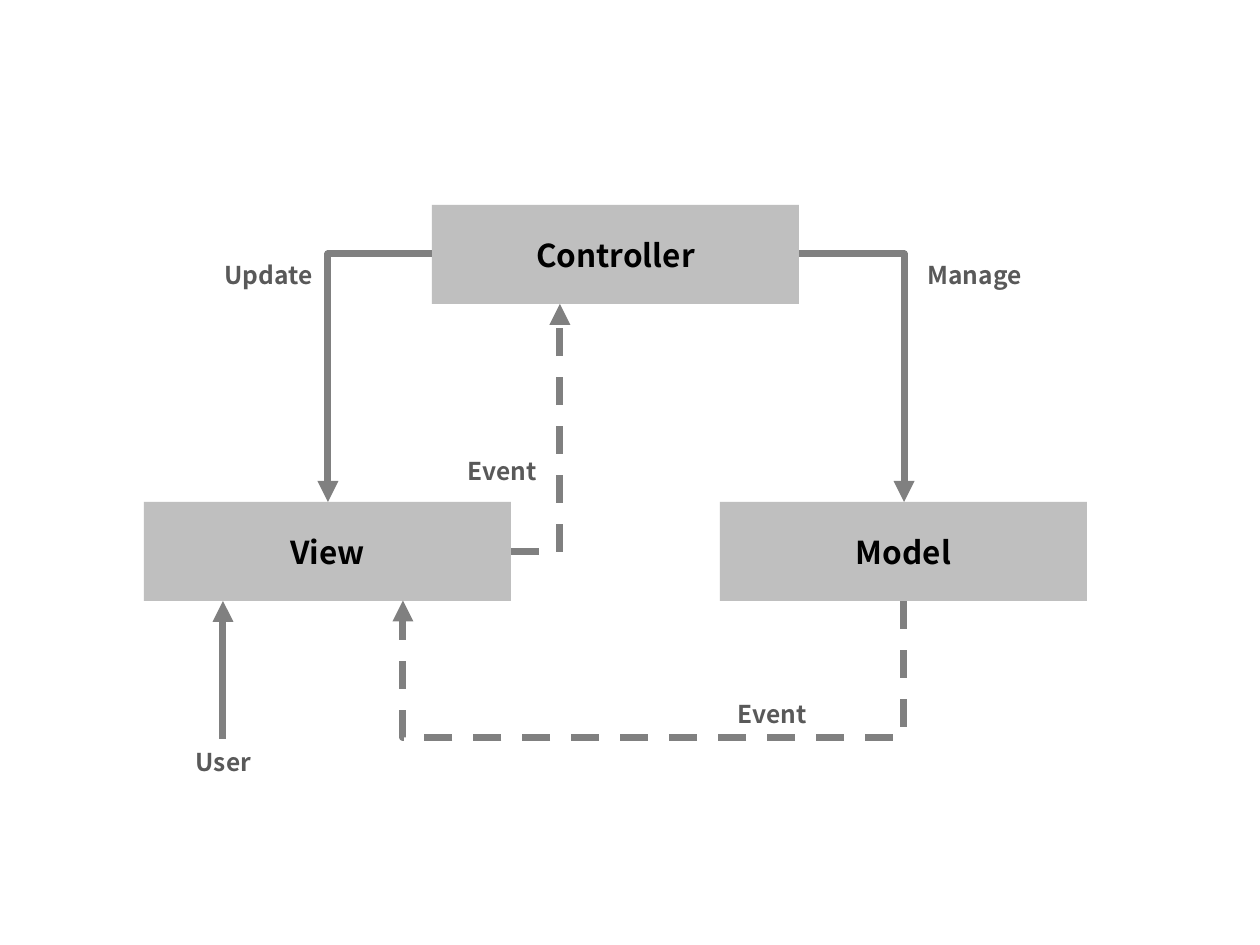
from pptx import Presentation
from pptx import util as u
from pptx.dml.color import RGBColor
from pptx.enum import dml, shapes, text
from pptx.oxml.ns import qn
from lxml import etree

FONT = "Noto Sans CJK KR"
PX = 914400 / 126
BOX_W, BOX_H = 367, 99

# Content: boxes as left, top
BOXES = {"Controller": (432, 205), "View": (144, 502), "Model": (720, 502)}

# Labels: text, left, top, width, alignment
LEFT, CENTER = text.PP_ALIGN.LEFT, text.PP_ALIGN.CENTER
LABELS = [
    ("Update", 212, 254, 116, LEFT),
    ("Manage", 907, 254, 135, CENTER),
    ("Event", 451, 450, 102, CENTER),
    ("Event", 709, 693, 127, CENTER),
    ("User", 160, 741, 127, CENTER),
]
LABEL_H = 43


def px(n):
    return u.Emu(round(n * PX))


def rgb(code):
    return RGBColor.from_string(code)


def write(sp, words, size, color, align):
    tf = sp.text_frame
    tf.word_wrap = True
    p = tf.paragraphs[0]
    p.alignment = align
    r = p.add_run()
    r.text = words
    r.font.name, r.font.size, r.font.bold = FONT, u.Pt(size), True
    r.font.color.rgb = rgb(color)
    return tf


def anchor(name, fx, fy):
    """Point on a box, as fractions of its width and height."""
    x, y = BOXES[name]
    return round(x + fx * BOX_W), round(y + fy * BOX_H)


def arrow(s, start, end, preset="line", dashed=False):
    kind = shapes.MSO_CONNECTOR
    c = s.shapes.add_connector(
        kind.STRAIGHT if preset == "line" else kind.ELBOW,
        *(px(n) for n in start + end))
    pr = c._element.spPr
    pr.find(qn("a:prstGeom")).set("prst", preset)
    c.line.color.rgb = rgb("808080")
    c.line.width = u.Pt(4)
    if dashed:
        c.line.dash_style = dml.MSO_LINE.DASH
    etree.SubElement(c.line._get_or_add_ln(), qn("a:tailEnd"), type="triangle")
    etree.SubElement(pr, qn("a:effectLst"))
    return c


def arrow_below(s, start, end, drop):
    """Dashed arrow that leaves downwards, runs left and comes back up."""
    c = arrow(s, start, end, "bentConnector3", True)
    span = start[0] - end[0]
    c.left, c.top = px((start[0] + end[0] - 1) / 2), px(start[1] - span / 2)
    c.width, c.height = px(1), px(span)
    xfrm = c._element.spPr.find(qn("a:xfrm"))
    xfrm.attrib.pop("flipV", None)
    xfrm.set("rot", str(90 * 60000))
    xfrm.set("flipH", "1")
    guides = c._element.spPr.find(qn("a:prstGeom")).get_or_add_avLst()
    etree.SubElement(guides, qn("a:gd"), name="adj1", fmla=f"val {-drop * 100000}")


def main():
    prs = Presentation()
    prs.slide_width, prs.slide_height = u.Inches(10), u.Inches(7.5)
    s = prs.slides.add_slide(prs.slide_layouts[6])

    # Boxes
    for name, (x, y) in BOXES.items():
        sp = s.shapes.add_shape(shapes.MSO_SHAPE.RECTANGLE,
                                px(x), px(y), px(BOX_W), px(BOX_H))
        sp.shadow.inherit = False
        sp.fill.solid()
        sp.fill.fore_color.rgb = rgb("BFBFBF")
        sp.line.fill.background()
        tf = write(sp, name, 18, "000000", CENTER)
        tf.vertical_anchor = text.MSO_ANCHOR.MIDDLE

    # Arrows
    bend = "bentConnector2"
    arrow(s, anchor("Controller", 0, 0.5), anchor("View", 0.5, 0), bend)
    arrow(s, anchor("Controller", 1, 0.5), anchor("Model", 0.5, 0), bend)
    arrow(s, anchor("View", 1, 0.5), anchor("Controller", 0.35, 1), bend, True)
    arrow_below(s, anchor("Model", 0.5, 1), anchor("View", 0.705, 1), 137)
    user_x, view_bottom = anchor("View", 0.216, 1)
    arrow(s, (user_x, 739), (user_x, view_bottom))

    # Labels
    for words, x, y, w, align in LABELS:
        sp = s.shapes.add_textbox(px(x), px(y), px(w), px(LABEL_H))
        tf = write(sp, words, 14, "595959", align)
        tf.auto_size = text.MSO_AUTO_SIZE.SHAPE_TO_FIT_TEXT

    prs.save("out.pptx")


if __name__ == "__main__":
    main()
